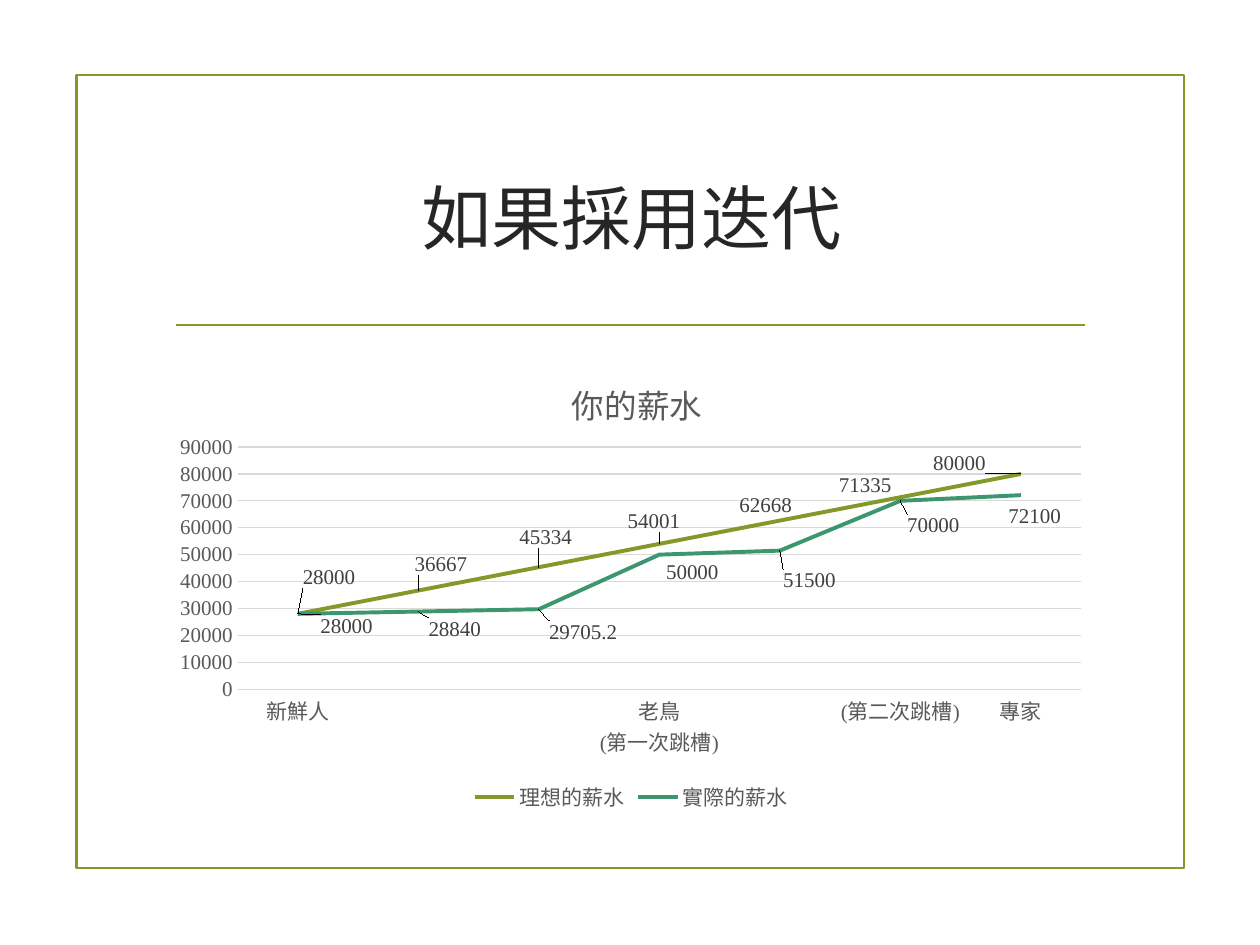
from lxml import etree
from pptx import Presentation
from pptx.chart import data as cd
from pptx.dml.color import RGBColor
from pptx.enum import chart as ch, shapes, text
from pptx.oxml import parse_xml
from pptx.oxml.ns import nsdecls, qn
from pptx.util import Pt


def rgb(value):
    return RGBColor.from_string(value)


def set_font(font, size, color, name):
    font.size = Pt(size)
    font.bold = False
    font.color.rgb = rgb(color)
    font.name = name


def put_text(tf, content, size=12, color="595959", name="Times New Roman", align=text.PP_ALIGN.CENTER):
    p = tf.paragraphs[0]
    p.alignment = align
    r = p.add_run()
    r.text = content
    set_font(r.font, size, color, name)
    ea = etree.SubElement(r.font._element, qn("a:ea"))
    ea.set("typeface", "Noto Sans CJK SC")


def layout(x, y, w=None, h=None, inner=False):
    parts = '<c:layoutTarget val="inner"/>' if inner else ""
    if inner or w:
        parts += '<c:xMode val="edge"/><c:yMode val="edge"/>'
    for tag, value in zip("xywh", (x, y, w, h)):
        if value is not None:
            parts += f'<c:{tag} val="{value:.4f}"/>'
    return parse_xml(f'<c:layout {nsdecls("c")}><c:manualLayout>{parts}</c:manualLayout></c:layout>')


class Deck:
    green = "83992A"
    teal = "3C9770"
    dark = "262626"
    gray = "595959"
    label = "404040"
    grid = "D9D9D9"
    latin = "Times New Roman"
    cjk = "Noto Sans CJK SC"

    def __init__(self, prs):
        self.s = prs.slides.add_slide(prs.slide_layouts[6])

    def stroke(self, line, color, width):
        line.color.rgb = rgb(color)
        line.width = Pt(width)

    def frame(self, *box):
        sp = self.s.shapes.add_shape(shapes.MSO_SHAPE.RECTANGLE, *map(Pt, box))
        sp.shadow.inherit = False
        sp.fill.background()
        self.stroke(sp.line, self.green, 1.25)

    def rule(self, x1, x2, y):
        cx = self.s.shapes.add_connector(shapes.MSO_CONNECTOR.STRAIGHT, Pt(x1), Pt(y), Pt(x2), Pt(y))
        self.stroke(cx.line, self.green, 1.25)
        etree.SubElement(cx._element.spPr, qn("a:effectLst"))

    def title(self, content, *box):
        tf = self.s.shapes.add_textbox(*map(Pt, box)).text_frame
        tf.word_wrap = True
        tf.vertical_anchor = text.MSO_ANCHOR.MIDDLE
        put_text(tf, content, size=40, color=self.dark, name=self.cjk)

    def line_chart(self, heading, cats, series, x, y, w, h):
        data = cd.CategoryChartData()
        data.categories = cats
        for name, _, values, _ in series:
            data.add_series(name, values)
        chart = self.s.shapes.add_chart(ch.XL_CHART_TYPE.LINE, Pt(x), Pt(y), Pt(w), Pt(h), data).chart
        set_font(chart.font, 12, self.gray, self.latin)
        chart.has_title = True
        put_text(chart.chart_title.text_frame, heading, size=18.6)
        title = chart.chart_title._element
        for old in title.findall(qn("c:layout")):
            title.remove(old)
        title.find(qn("c:tx")).addnext(layout_edge(0.43, 0.06))
        chart.has_legend = True
        chart.legend.position = ch.XL_LEGEND_POSITION.BOTTOM
        chart.legend.include_in_layout = False
        set_font(chart.legend.font, 12, self.gray, self.latin)
        self.axes(chart)
        plot = chart.plots[0]
        plot.vary_by_categories = False
        for ser, (_, color, _, shifts) in zip(plot.series, series):
            ser.smooth = False
            ser.marker.style = ch.XL_MARKER_STYLE.NONE
            self.stroke(ser.format.line, color, 2.25)
            self.point_labels(ser, shifts, w, h)

    def axes(self, chart):
        cat, val = chart.category_axis, chart.value_axis
        for axis in (cat, val):
            axis.major_tick_mark = axis.minor_tick_mark = ch.XL_TICK_MARK.NONE
            set_font(axis.tick_labels.font, 12, self.gray, self.latin)
        self.stroke(cat.format.line, self.grid, 0.75)
        val.format.line.fill.background()
        val.minimum_scale, val.maximum_scale, val.major_unit = 0, 90000, 10000
        val.has_major_gridlines = True
        self.stroke(val.major_gridlines.format.line, self.grid, 0.75)
        area = chart._chartSpace.chart.plotArea
        for old in area.findall(qn("c:layout")):
            area.remove(old)
        area.insert(0, layout(0.08, 0.22, 0.9, 0.51, inner=True))

    def point_labels(self, ser, shifts, w, h):
        for i in range(len(shifts)):
            label = ser.points[i].data_label
            set_font(label.font, 12, self.label, self.latin)
            label.position = ch.XL_LABEL_POSITION.RIGHT
        for mark, (dx, dy) in zip(ser._element.iter(qn("c:dLbl")), shifts):
            mark.find(qn("c:idx")).addnext(layout(dx / w, dy / h))


def layout_edge(x, y):
    node = layout(x, y)
    manual = node[0]
    for i, tag in enumerate(("c:xMode", "c:yMode")):
        mode = etree.Element(qn(tag))
        mode.set("val", "edge")
        manual.insert(i, mode)
    return node


def main():
    prs = Presentation()
    prs.slide_width, prs.slide_height = Pt(720), Pt(540)
    deck = Deck(prs)
    deck.frame(43.7, 42.7, 633, 453.5)
    deck.rule(100.6, 620, 185.6)
    deck.title("如果採用迭代", 92.9, 72, 535.7, 103)
    cats = ["新鮮人", "", "", "老鳥\n(第一次跳槽)", "", "(第二次跳槽)", "專家"]
    series = [
        ("理想的薪水", deck.green, [28000, 36667, 45334, 54001, 62668, 71335, 80000],
         [(0, -21), (-5, -15), (-14, -17), (-21, -13), (-26, -9), (-38, -7), (-53, -6)]),
        ("實際的薪水", deck.teal, [28000, 28840, 29705.2, 50000, 51500, 70000, 72100],
         [(10, 7), (3, 10), (3, 13), (1, 10), (-1, 17), (1, 14), (-10, 12)]),
    ]
    deck.line_chart("你的薪水", cats, series, 92.9, 195.8, 535.7, 271.4)
    prs.save("out.pptx")


if __name__ == "__main__":
    main()
